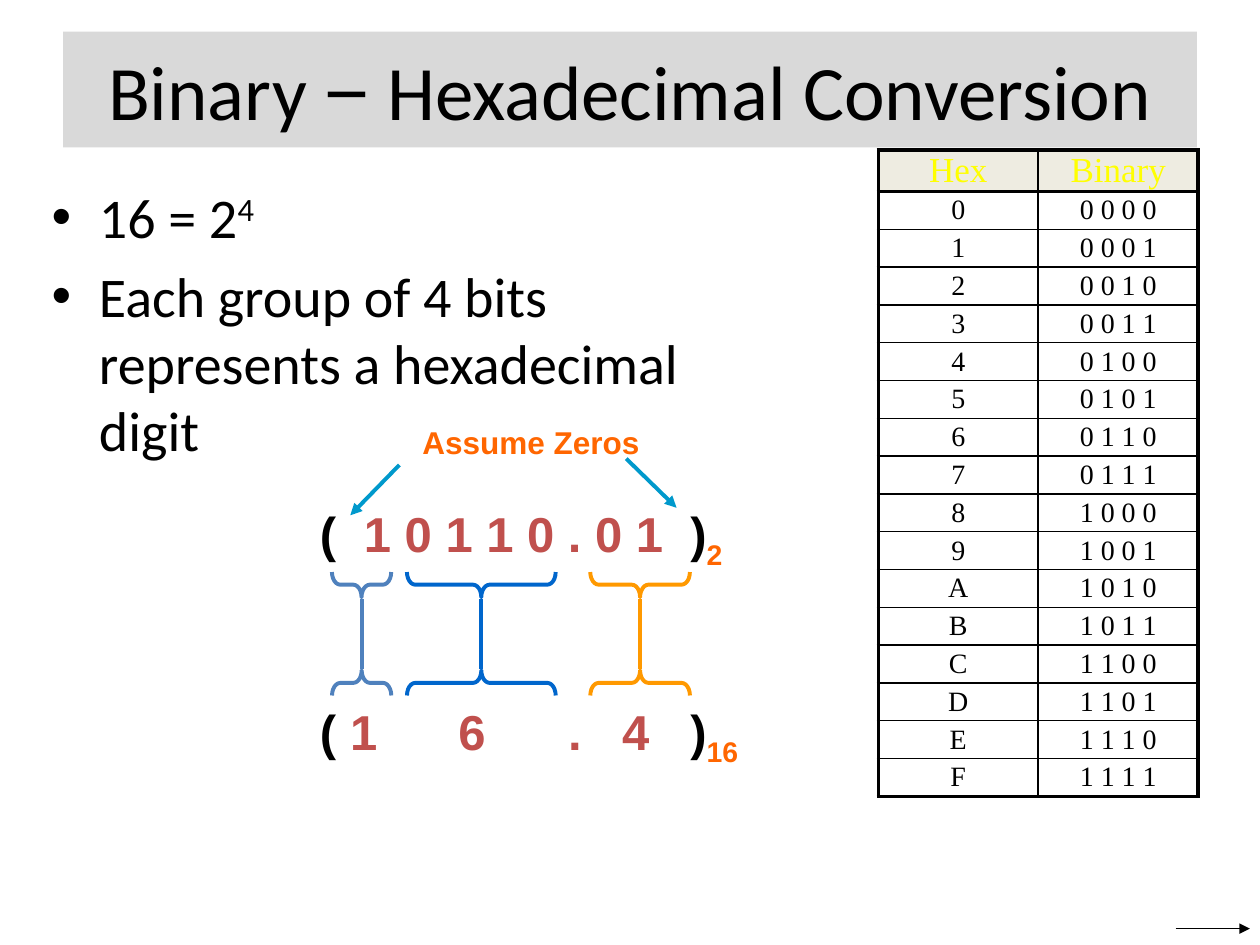
import pptx
import pptx.dml.color
import pptx.enum.shapes
import pptx.enum.text
import pptx.oxml.ns
import pptx.util
from lxml import etree

Inches, Pt = pptx.util.Inches, pptx.util.Pt
RGBColor = pptx.dml.color.RGBColor
MSO_ANCHOR = pptx.enum.text.MSO_ANCHOR
PP_ALIGN = pptx.enum.text.PP_ALIGN
qn = pptx.oxml.ns.qn

BLACK = RGBColor(0, 0, 0)
GREY = RGBColor(0xD9, 0xD9, 0xD9)
CREAM = RGBColor(0xEE, 0xEC, 0xE1)
YELLOW = RGBColor(0xFF, 0xFF, 0)
RED = RGBColor(0xC0, 0x50, 0x4D)
ORANGE = RGBColor(0xFF, 0x66, 0)
AMBER = RGBColor(0xFF, 0x99, 0)
BLUE = RGBColor(0, 0x66, 0xCC)
STEEL = RGBColor(0x4F, 0x81, 0xBD)
CYAN = RGBColor(0, 0x99, 0xCC)


class ConversionSlide:
    """Holds the style and the current slide."""

    heading_font, label_font, table_font = "Calibri", "Arial", "Times New Roman"
    thick, thin = 2.25, 1

    def __init__(self, deck):
        self.slide = deck.slides.add_slide(deck.slide_layouts[1])
        self.shapes = self.slide.shapes

    def place(self, shape, left, top, width, height):
        shape.left, shape.top = Inches(left), Inches(top)
        shape.width, shape.height = Inches(width), Inches(height)

    def add_runs(self, paragraph, pieces, size, font, bold=False):
        """Add runs given as (text, colour, baseline in percent, font or None)."""
        for text, colour, baseline, own_font in pieces:
            run = paragraph.add_run()
            run.text = text
            run.font.size, run.font.bold = Pt(size), bold
            run.font.name = own_font or font
            run.font.color.rgb = colour
            if baseline:
                run._r.get_or_add_rPr().set("baseline", str(baseline * 1000))

    def title(self, pieces, box):
        heading = self.shapes.title
        self.place(heading, *box)
        heading.fill.solid()
        heading.fill.fore_color.rgb = GREY
        frame = heading.text_frame
        frame.vertical_anchor = MSO_ANCHOR.MIDDLE
        frame.paragraphs[0].alignment = PP_ALIGN.CENTER
        self.add_runs(frame.paragraphs[0], pieces, 44, self.heading_font)

    def bullets(self, items, box):
        body = self.slide.placeholders[1]
        self.place(body, *box)
        frame = body.text_frame
        frame.auto_size = pptx.enum.text.MSO_AUTO_SIZE.NONE
        frame.margin_left = frame.margin_right = Inches(0.07)
        frame.margin_top = frame.margin_bottom = Inches(0.03)
        for number, pieces in enumerate(items):
            paragraph = frame.add_paragraph() if number else frame.paragraphs[0]
            if number == 0:
                paragraph.space_before = Pt(0)
            self.add_runs(paragraph, pieces, 32, self.heading_font)

    def label(self, pieces, box, size, margins, align, stops=()):
        text_box = self.shapes.add_textbox(*map(Inches, box))
        frame = text_box.text_frame
        frame.word_wrap = True
        frame.margin_left, frame.margin_top = map(Inches, margins)
        frame.margin_right, frame.margin_bottom = 0, Inches(margins[1])
        paragraph = frame.paragraphs[0]
        paragraph.alignment = align
        if stops:
            tabs = etree.SubElement(paragraph._p.get_or_add_pPr(), qn("a:tabLst"))
            for stop in stops:
                etree.SubElement(tabs, qn("a:tab"), pos=str(Inches(stop)), algn="l")
        self.add_runs(paragraph, pieces, size, self.label_font, bold=True)

    def number(self, digits, base, top, stops):
        pieces = [("(\t", BLACK, 0, None), (digits + "\t", RED, 0, None),
                  (")", BLACK, 0, None), (base, ORANGE, -25, None)]
        self.label(pieces, (2.44, top, 3.56, 0.57), 28, (0.1, 0.05),
                   PP_ALIGN.LEFT, stops)

    def line(self, start, end, colour, width, arrow=False, shapes=None):
        connector = (shapes or self.shapes).add_connector(
            pptx.enum.shapes.MSO_CONNECTOR.STRAIGHT, *map(Inches, start + end))
        connector.line.color.rgb = colour
        connector.line.width = Pt(width)
        if arrow:
            etree.SubElement(connector.line._get_or_add_ln(), qn("a:tailEnd"),
                             type="triangle")
        etree.SubElement(connector._element.spPr, qn("a:effectLst"))

    def brace_pair(self, center, span, colour):
        """Join a group of bits to its hexadecimal digit."""
        group = self.shapes.add_group_shape()
        depth = 0.2
        for middle, rotation in ((4.64, 270), (5.42, 90)):
            brace = group.shapes.add_shape(
                pptx.enum.shapes.MSO_SHAPE.LEFT_BRACE,
                Inches(center - depth / 2), Inches(middle - span / 2),
                Inches(depth), Inches(span))
            brace.rotation = rotation
            brace.adjustments[0] = 0.33
            brace.shadow.inherit = False
            brace.fill.background()
            brace.line.color.rgb = colour
            brace.line.width = Pt(self.thick)
        self.line((center, 4.75), (center, 5.31), colour, self.thick,
                  shapes=group.shapes)

    def border(self, cell, widths):
        properties = cell._tc.get_or_add_tcPr()
        for position, (side, width) in enumerate(widths.items()):
            edge = etree.Element(qn("a:" + side), w=str(Pt(width)))
            fill = etree.SubElement(edge, qn("a:solidFill"))
            etree.SubElement(fill, qn("a:srgbClr"), val=str(BLACK))
            properties.insert(position, edge)

    def table(self, rows, left, top, column_width, header_height, row_height):
        last_row, last_column = len(rows) - 1, len(rows[0]) - 1
        height = header_height + last_row * row_height
        grid = self.shapes.add_table(
            len(rows), len(rows[0]), Inches(left), Inches(top),
            Inches(column_width * len(rows[0])), Inches(height)).table
        grid.first_row = grid.horz_banding = False
        for column in grid.columns:
            column.width = Inches(column_width)
        for r, values in enumerate(rows):
            header = r == 0
            grid.rows[r].height = Inches(header_height if header else row_height)
            for c, value in enumerate(values):
                cell = grid.cell(r, c)
                cell.margin_left = cell.margin_right = 0
                cell.margin_top = cell.margin_bottom = 0
                cell.vertical_anchor = MSO_ANCHOR.MIDDLE
                if header:
                    cell.fill.solid()
                    cell.fill.fore_color.rgb = CREAM
                else:
                    cell.fill.background()
                paragraph = cell.text_frame.paragraphs[0]
                paragraph.alignment = PP_ALIGN.CENTER
                self.add_runs(paragraph, [(value, YELLOW if header else BLACK, 0, None)],
                              20 if header else 16, self.table_font)
                outer = {"lnL": c == 0, "lnR": c == last_column,
                         "lnT": r <= 1, "lnB": r in (0, last_row)}
                self.border(cell, {side: self.thick if is_outer else self.thin
                                   for side, is_outer in outer.items()})


def main():
    deck = pptx.Presentation()
    deck.slide_width, deck.slide_height = Inches(10), Inches(7.5)
    page = ConversionSlide(deck)

    # Title and facts
    page.title([("Binary ", BLACK, 0, None), ("−", BLACK, 0, "Arial"),
                (" Hexadecimal Conversion", BLACK, 0, None)], (0.5, 0.25, 9, 0.92))
    page.bullets([
        [("16 = 2", BLACK, 0, None), ("4", BLACK, 30, None)],
        [("Each group of 4 bits represents a hexadecimal digit", BLACK, 0, None)],
    ], (0.34, 1.42, 5.91, 2.81))

    # Corner arrow
    page.line((9.33, 7.37), (9.92, 7.37), BLACK, 0.75, arrow=True)

    # Hexadecimal digits and their bits
    rows = [("Hex", "Binary")]
    rows += [(f"{n:X}", " ".join(f"{n:04b}")) for n in range(16)]
    page.table(rows, 6.97, 1.19, 1.27, 0.33, 0.3)

    # Worked example
    page.number("1 0 1 1 0 . 0 1", "2", 3.95, (0.35, 2.94))
    page.number("1\t6\t.\t4", "16", 5.52, (0.24, 1.1, 1.97, 2.4, 2.94))
    for center, span, colour in ((5.08, 0.79, AMBER), (3.82, 1.18, BLUE),
                                 (2.87, 0.47, STEEL)):
        page.brace_pair(center, span, colour)

    # Padding note
    page.line((3.17, 3.69), (2.78, 4.09), CYAN, page.thick, arrow=True)
    page.line((4.97, 3.64), (5.37, 4.03), CYAN, page.thick, arrow=True)
    page.label([("Assume Zeros", ORANGE, 0, None)], (3.23, 3.36, 1.97, 0.27),
               18, (0, 0), PP_ALIGN.CENTER)

    deck.save("out.pptx")


if __name__ == "__main__":
    main()
